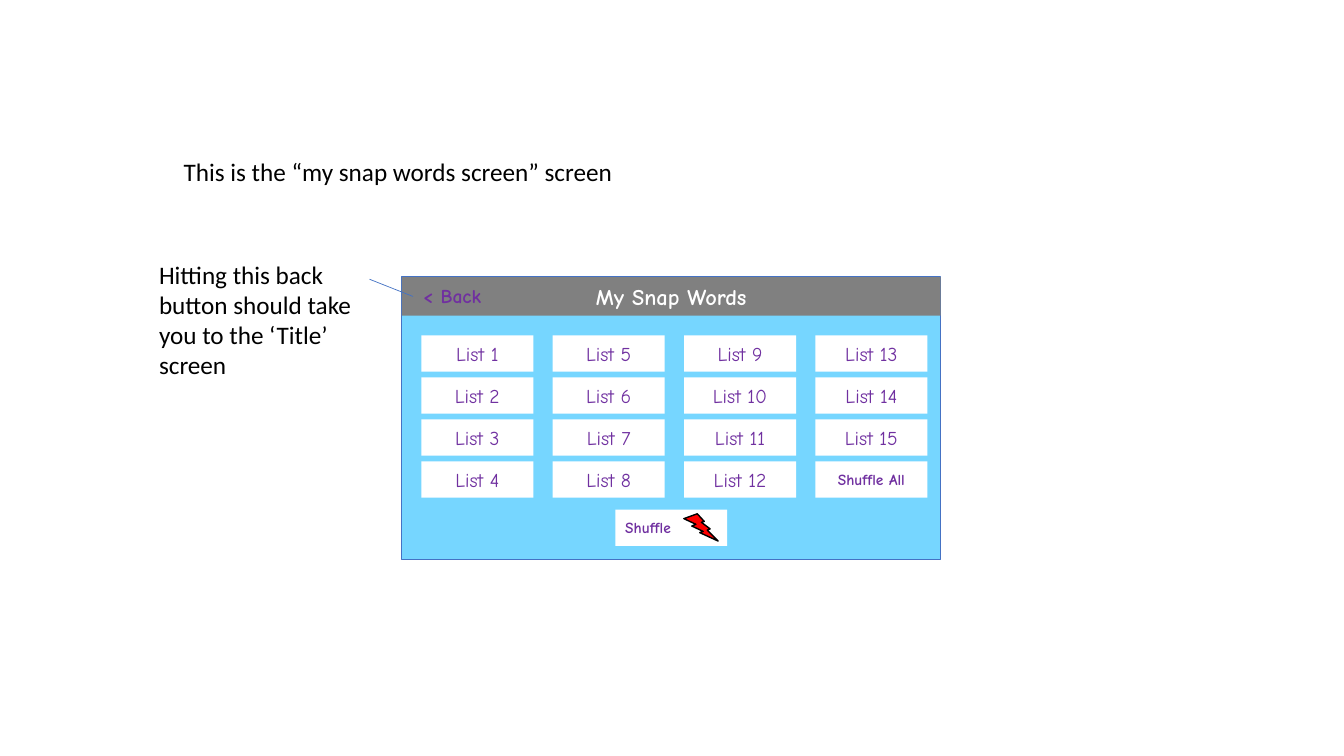
from dataclasses import dataclass

from lxml.etree import SubElement
from pptx import Presentation
from pptx.dml.color import RGBColor
from pptx.enum.shapes import MSO_CONNECTOR, MSO_SHAPE
from pptx.enum.text import MSO_ANCHOR as ANCHOR, MSO_AUTO_SIZE, PP_ALIGN as ALIGN
from pptx.oxml.ns import qn
from pptx.util import Pt


@dataclass(frozen=True)
class Theme:
    body_font: str = "Calibri"
    app_font: str = "Comic Neue"
    black: str = "000000"
    white: str = "FFFFFF"
    sky: str = "76D6FF"
    gray: str = "808080"
    purple: str = "7030A0"
    blue: str = "4472C4"
    red: str = "FF0000"
    note_size: float = 18
    header_size: float = 16
    list_size: float = 14
    shuffle_size: float = 11


T = Theme()


def write(sp, text, font=T.app_font, size=T.list_size, color=T.purple,
          bold=False, align=ALIGN.CENTER, anchor=ANCHOR.MIDDLE, wrap=True):
    tf = sp.text_frame
    tf.auto_size = MSO_AUTO_SIZE.NONE
    tf.word_wrap = wrap
    tf.vertical_anchor = anchor
    p = tf.paragraphs[0]
    p.alignment = align
    r = p.add_run()
    r.text = text
    r.font.name, r.font.size, r.font.bold = font, Pt(size), bold
    r.font.color.rgb = RGBColor.from_string(color)


def add_block(s, x, y, w, h, fill, line=None, kind=MSO_SHAPE.RECTANGLE):
    sp = s.shapes.add_shape(kind, Pt(x), Pt(y), Pt(w), Pt(h))
    sp.shadow.inherit = False
    sp.fill.solid()
    sp.fill.fore_color.rgb = RGBColor.from_string(fill)
    if line:
        sp.line.color.rgb = RGBColor.from_string(line)
        sp.line.width = Pt(1)
    else:
        sp.line.fill.background()
    return sp


def add_caption(s, x, y, w, h):
    title = s.shapes.title
    title.left, title.top, title.width, title.height = Pt(x), Pt(y), Pt(w), Pt(h)
    write(title, "This is the “my snap words screen” screen", T.body_font,
          T.note_size, T.black, align=ALIGN.LEFT, anchor=ANCHOR.TOP, wrap=False)


def add_header(s, x, y, w, h):
    """Draw the title bar and return its back button."""
    bar = add_block(s, x, y, w, h, T.gray)
    write(bar, "My Snap Words", size=T.header_size, color=T.white, bold=True)
    back = s.shapes.add_textbox(Pt(x + 8), Pt(y + 1.5), Pt(61), Pt(24.5))
    write(back, "< Back", bold=True, align=ALIGN.LEFT, anchor=ANCHOR.TOP, wrap=False)
    return back


def add_list_grid(s, x, y, w, h, cols=4, rows=4, button_w=80, button_h=26):
    """Fill the box column by column; the last button shuffles all lists."""
    step_x = (w - button_w) / (cols - 1)
    step_y = (h - button_h) / (rows - 1)
    last = cols * rows - 1
    for i in range(cols * rows):
        col, row = divmod(i, rows)
        button = add_block(s, x + col * step_x, y + row * step_y,
                           button_w, button_h, T.white)
        if i == last:
            write(button, "Shuffle All", size=T.shuffle_size, bold=True)
        else:
            write(button, f"List {i + 1}")


def add_shuffle_button(s, x, y, w, h):
    button = add_block(s, x, y, w, h, T.white)
    write(button, "Shuffle", size=T.shuffle_size, bold=True, align=ALIGN.LEFT)
    add_block(s, x + w - 31, y + 3, 24.5, 19.5, T.red, T.black,
              MSO_SHAPE.LIGHTNING_BOLT)


def add_app_screen(s, x, y, w, h):
    """Draw the app mock-up and return its back button."""
    add_block(s, x, y, w, h, T.sky, T.blue)
    back = add_header(s, x, y, w, 27.5)
    add_list_grid(s, x + 14, y + 41.5, 361.5, 116)
    add_shuffle_button(s, x + (w - 80) / 2, y + 166, 80, 26)
    return back


def add_back_note(s, x, y, w, h, back):
    note = s.shapes.add_textbox(Pt(x), Pt(y), Pt(w), Pt(h))
    write(note, "Hitting this back button should take you to the ‘Title’ screen",
          T.body_font, T.note_size, T.black, align=ALIGN.LEFT, anchor=ANCHOR.TOP)
    pointer = s.shapes.add_connector(MSO_CONNECTOR.STRAIGHT, Pt(x + 157.5),
                                     Pt(y + 18), back.left, back.top)
    pointer.end_connect(back, 1)
    pointer.line.color.rgb = RGBColor.from_string(T.blue)
    pointer.line.width = Pt(0.5)
    SubElement(pointer.element.spPr, qn("a:effectLst"))


def main():
    prs = Presentation()
    prs.slide_width, prs.slide_height = Pt(960), Pt(540)
    s = prs.slides.add_slide(prs.slide_layouts[5])
    add_caption(s, 124, 108, 324, 29)
    back = add_app_screen(s, 287, 198, 385, 201.5)
    add_back_note(s, 106.5, 181.5, 176.5, 94.5, back)
    prs.save("out.pptx")


if __name__ == "__main__":
    main()
